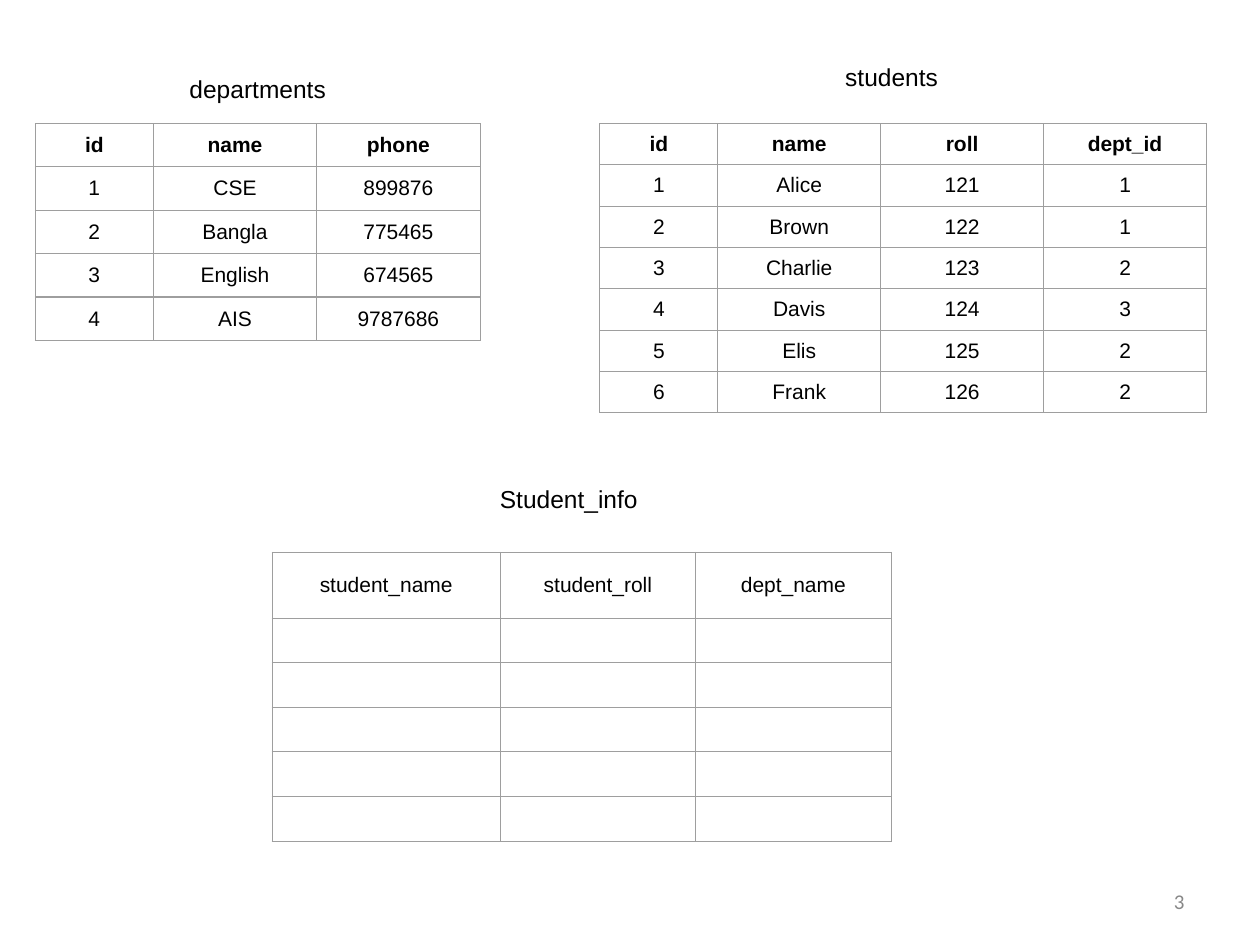
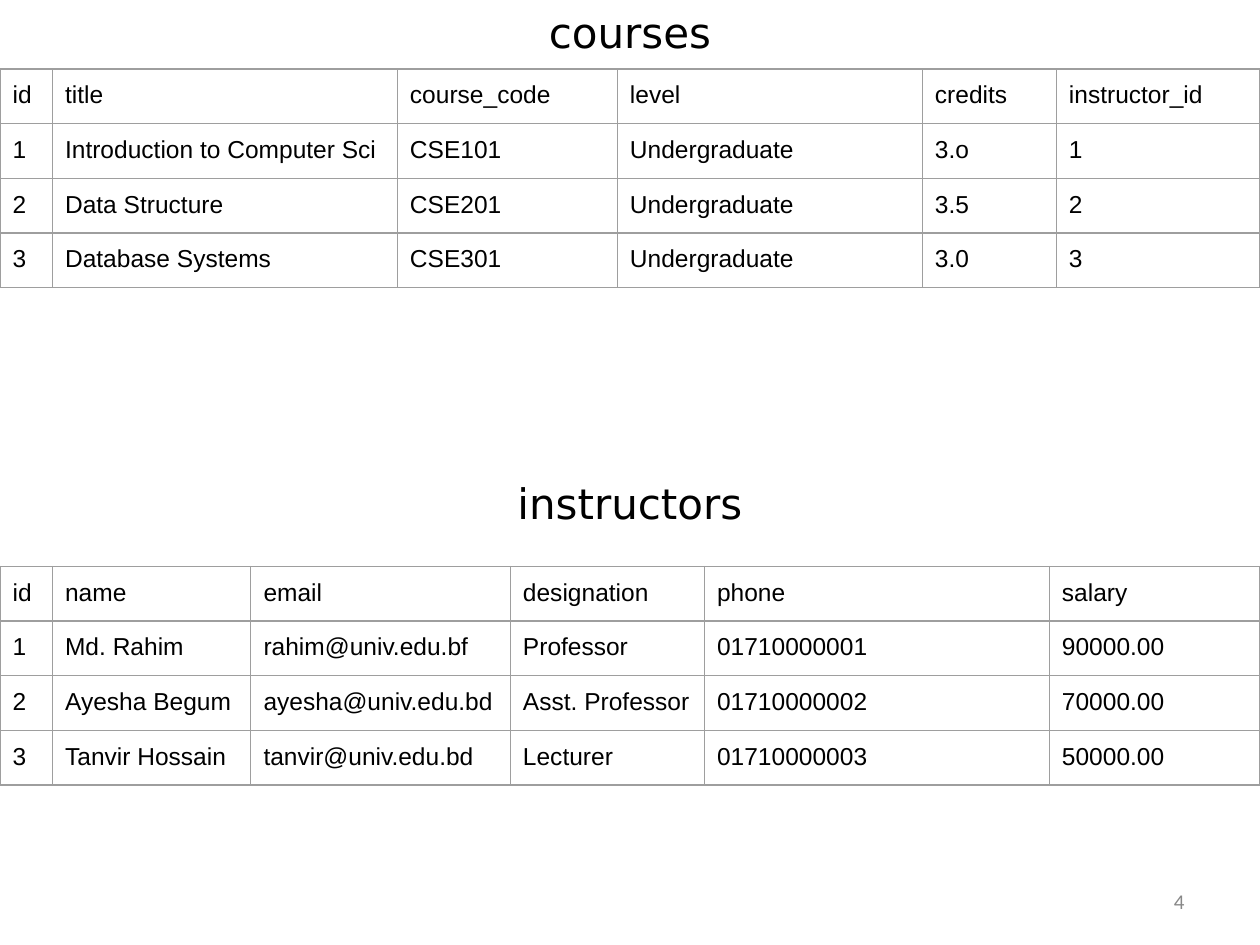
from dataclasses import dataclass

from lxml.etree import SubElement
from pptx import Presentation
from pptx.dml.color import RGBColor
from pptx.enum.text import MSO_ANCHOR, PP_ALIGN
from pptx.oxml.ns import qn
from pptx.util import Pt


@dataclass(frozen=True)
class Theme:
    ink: str = "000000"
    muted: str = "888888"
    grid: str = "9E9E9E"
    body_font: str = "Arial"
    heading_font: str = "DejaVu Sans"
    number_font: str = "Calibri"
    small: int = 12
    label: int = 14
    heading: int = 24
    grid_width: float = 0.75
    tight_inset: float = 0.6
    roomy_inset: float = 7.2


def write(paragraph, text, *, font, size, color, bold=False,
          align=PP_ALIGN.LEFT, before=0):
    paragraph.alignment = align
    paragraph.space_before = Pt(before)
    if text:
        run = paragraph.add_run()
        run.text = text
        run.font.name = font
        run.font.size = Pt(size)
        run.font.bold = bold
        run.font.color.rgb = RGBColor.from_string(color)


class Deck:
    def __init__(self, theme):
        self.theme = theme
        self.presentation = Presentation()
        self.presentation.slide_width = Pt(720)
        self.presentation.slide_height = Pt(540)
        self.slide = None

    def start_slide(self, number):
        blank = self.presentation.slide_layouts[6]
        self.slide = self.presentation.slides.add_slide(blank)
        frame = self.text_frame(516, 500.5, 168, 28.8, anchor=MSO_ANCHOR.MIDDLE)
        write(frame.paragraphs[0], str(number), font=self.theme.number_font,
              size=self.theme.small, color=self.theme.muted, align=PP_ALIGN.RIGHT)

    def text_frame(self, left, top, width, height, wrap=True, anchor=MSO_ANCHOR.TOP):
        box = self.slide.shapes.add_textbox(Pt(left), Pt(top), Pt(width), Pt(height))
        box.text_frame.word_wrap = wrap
        box.text_frame.vertical_anchor = anchor
        return box.text_frame

    def label(self, text, left, top, width):
        frame = self.text_frame(left, top, width, 24.2, wrap=False)
        write(frame.paragraphs[0], text, font=self.theme.body_font,
              size=self.theme.label, color=self.theme.ink)

    def headings(self, *entries):
        frame = self.text_frame(0, 0, 720, 540)
        for index, (text, before) in enumerate(entries):
            paragraph = frame.add_paragraph() if index else frame.paragraphs[0]
            write(paragraph, text, font=self.theme.heading_font,
                  size=self.theme.heading, color=self.theme.ink,
                  align=PP_ALIGN.CENTER, before=before)

    def outline(self, cell):
        properties = cell._tc.get_or_add_tcPr()
        for side in ("a:lnL", "a:lnR", "a:lnT", "a:lnB"):
            line = SubElement(properties, qn(side), w=str(Pt(self.theme.grid_width)))
            fill = SubElement(line, qn("a:solidFill"))
            SubElement(fill, qn("a:srgbClr"), val=self.theme.grid)

    def table(self, records, left, top, widths, heights, roomy=False, bold_header=False):
        theme = self.theme
        table = self.slide.shapes.add_table(
            len(records), len(widths), Pt(left), Pt(top),
            Pt(sum(widths)), Pt(sum(heights))).table
        table.first_row = table.horz_banding = False
        for column, width in zip(table.columns, widths):
            column.width = Pt(width)
        for row, height in zip(table.rows, heights):
            row.height = Pt(height)
        inset = Pt(theme.roomy_inset if roomy else theme.tight_inset)
        for row_index, record in enumerate(records):
            for cell, value in zip(table.rows[row_index].cells, record):
                self.outline(cell)
                cell.fill.background()
                cell.margin_left = cell.margin_right = inset
                cell.margin_top = cell.margin_bottom = inset
                cell.vertical_anchor = MSO_ANCHOR.TOP if roomy else MSO_ANCHOR.MIDDLE
                write(cell.text_frame.paragraphs[0], value, font=theme.body_font,
                      size=theme.label if roomy else theme.small, color=theme.ink,
                      bold=bold_header and row_index == 0,
                      align=PP_ALIGN.LEFT if roomy else PP_ALIGN.CENTER)


DEPARTMENTS = [
    ("id", "name", "phone"),
    ("1", "CSE", "899876"),
    ("2", "Bangla", "775465"),
    ("3", "English", "674565"),
    ("4", "AIS", "9787686"),
]
STUDENTS = [
    ("id", "name", "roll", "dept_id"),
    ("1", "Alice", "121", "1"),
    ("2", "Brown", "122", "1"),
    ("3", "Charlie", "123", "2"),
    ("4", "Davis", "124", "3"),
    ("5", "Elis", "125", "2"),
    ("6", "Frank", "126", "2"),
]
STUDENT_INFO = [("student_name", "student_roll", "dept_name")] + [("", "", "")] * 5
COURSES = [
    ("id", "title", "course_code", "level", "credits", "instructor_id"),
    ("1", "Introduction to Computer Sci", "CSE101", "Undergraduate", "3.o", "1"),
    ("2", "Data Structure", "CSE201", "Undergraduate", "3.5", "2"),
    ("3", "Database Systems", "CSE301", "Undergraduate", "3.0", "3"),
]
INSTRUCTORS = [
    ("id", "name", "email", "designation", "phone", "salary"),
    ("1", "Md. Rahim", "rahim@univ.edu.bf", "Professor", "01710000001", "90000.00"),
    ("2", "Ayesha Begum", "ayesha@univ.edu.bd", "Asst. Professor", "01710000002", "70000.00"),
    ("3", "Tanvir Hossain", "tanvir@univ.edu.bd", "Lecturer", "01710000003", "50000.00"),
]


def build_student_slide(deck):
    deck.start_slide(3)
    deck.table(DEPARTMENTS, 20.2, 70.6, [67.4] + [93.4] * 2, [24.8] * 5, bold_header=True)
    deck.table(STUDENTS, 342.8, 70.6, [67.4] + [93.1] * 3, [23.64] * 7, bold_header=True)
    deck.label("departments", 101.2, 38.9, 93)
    deck.label("students", 475.9, 31.7, 68)
    deck.table(STUDENT_INFO, 155.6, 315.6, [130.3] + [111.7] * 2, [37.6] + [25.5] * 5)
    deck.label("Student_info", 278.6, 273.2, 94)


def build_course_slide(deck):
    deck.start_slide(4)
    deck.headings(("courses", 4.8), ("instructors", 240.6))
    row_heights = [30.15] * 4
    deck.table(COURSES, 0, 39.4, [30, 197.1, 125.7, 174.3, 76.6, 116.3],
               row_heights, roomy=True)
    deck.table(INSTRUCTORS, 0, 323.6, [30, 113.4, 148.3, 110.9, 197.1, 120.3],
               row_heights, roomy=True)


def main():
    deck = Deck(Theme())
    build_student_slide(deck)
    build_course_slide(deck)
    deck.presentation.save("out.pptx")


if __name__ == "__main__":
    main()
